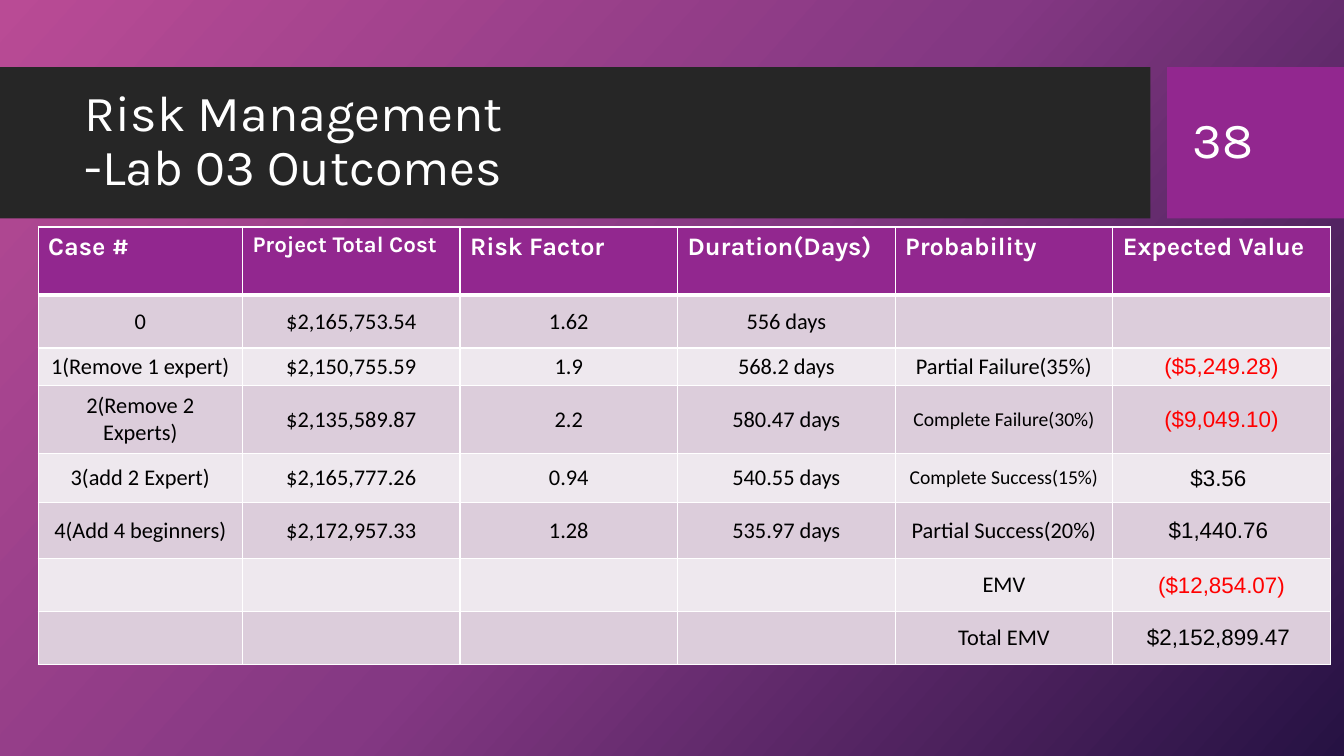
from copy import deepcopy

from pptx import Presentation
from pptx.dml.color import RGBColor
from pptx.enum.shapes import MSO_SHAPE as Shape
from pptx.enum.text import MSO_ANCHOR as Anchor, MSO_AUTO_SIZE as AutoSize, PP_ALIGN as Align
from pptx.oxml import parse_xml
from pptx.oxml.ns import nsdecls, qn
from pptx.util import Pt

WHITE = RGBColor(0xFF, 0xFF, 0xFF)
BLACK = RGBColor(0, 0, 0)
RED = RGBColor(0xFF, 0, 0)
CHARCOAL = RGBColor(0x26, 0x26, 0x26)
PURPLE = RGBColor(0x92, 0x27, 0x8F)
BAND_DARK = RGBColor(0xDC, 0xCD, 0xDB)
BAND_LIGHT = RGBColor(0xEE, 0xE8, 0xEE)
GRADIENT = [
    (0, RGBColor(0xB9, 0x4B, 0x95)),
    (0.5, RGBColor(0x84, 0x38, 0x83)),
    (1, RGBColor(0x26, 0x12, 0x43)),
]

HEADINGS = ["Case #", "Project Total Cost", "Risk Factor", "Duration(Days)",
            "Probability", "Expected Value"]
OUTCOMES = [
    ["0", "$2,165,753.54", "1.62", "556 days", "", ""],
    ["1(Remove 1 expert)", "$2,150,755.59", "1.9", "568.2 days",
     "Partial Failure(35%)", "($5,249.28)"],
    ["2(Remove 2 Experts)", "$2,135,589.87", "2.2", "580.47 days",
     "Complete Failure(30%)", "($9,049.10)"],
    ["3(add 2 Expert)", "$2,165,777.26", "0.94", "540.55 days",
     "Complete Success(15%)", "$3.56 "],
    ["4(Add 4 beginners)", "$2,172,957.33", "1.28", "535.97 days",
     "Partial Success(20%)", "$1,440.76 "],
    ["", "", "", "", "EMV", "($12,854.07)"],
    ["", "", "", "", "Total EMV", "$2,152,899.47 "],
]
COLUMN_WIDTHS = [146] + [155.4] * 5
ROW_HEIGHTS = [48.7, 37.7, 24.5, 48.7, 34.8, 40.2, 37.7, 37.7]
VALUE_COLUMN = len(HEADINGS) - 1


def set_font(paragraph, name, size, color, bold=False):
    font = paragraph.font
    font.name, font.size, font.bold = name, Pt(size), bold
    font.color.rgb = color


def paint_background(slide):
    fill = slide.background.fill
    fill.gradient()
    fill.gradient_angle = 360 - 42  # counter-clockwise
    stop_list = slide.element.find(".//" + qn("a:gsLst"))
    stop_list.append(deepcopy(stop_list[0]))
    for stop, (position, color) in zip(fill.gradient_stops, GRADIENT):
        stop.position = position
        stop.color.rgb = color


def add_bar(slide, left, width, color):
    bar = slide.shapes.add_shape(Shape.RECTANGLE, Pt(left), Pt(48), Pt(width), Pt(108))
    bar.shadow.inherit = False
    bar.fill.solid()
    bar.fill.fore_color.rgb = color
    bar.line.fill.background()


def write_heading(shape, text, left, top, width, height):
    shape.left, shape.top, shape.width, shape.height = Pt(left), Pt(top), Pt(width), Pt(height)
    frame = shape.text_frame
    frame.word_wrap = True
    frame.auto_size = AutoSize.NONE
    frame.vertical_anchor = Anchor.MIDDLE
    frame.text = text
    paragraph = frame.paragraphs[0]
    paragraph.alignment = Align.LEFT
    paragraph.line_spacing = 0.9
    set_font(paragraph, "Karla", 36, WHITE)


def set_borders(cell, top=1, bottom=1):
    properties = cell._tc.get_or_add_tcPr()
    for side, points in (("L", 1), ("R", 1), ("T", top), ("B", bottom)):
        properties.append(parse_xml(
            f'<a:ln{side} {nsdecls("a")} w="{Pt(points)}"><a:solidFill>'
            f'<a:srgbClr val="{WHITE}"/></a:solidFill></a:ln{side}>'))


def fill_cell(cell, color):
    cell.fill.solid()
    cell.fill.fore_color.rgb = color


def write_header_cell(cell, text):
    set_borders(cell, bottom=3)
    fill_cell(cell, PURPLE)
    cell.text = text
    size = 16 if text == "Project Total Cost" else 18
    set_font(cell.text_frame.paragraphs[0], "Karla", size, WHITE, bold=True)


def write_outcome_cell(cell, text, row, column):
    set_borders(cell, top=3 if row == 1 else 1)
    fill_cell(cell, BAND_DARK if row % 2 else BAND_LIGHT)
    if not text:
        return
    cell.text = text
    cell.vertical_anchor = Anchor.MIDDLE
    paragraph = cell.text_frame.paragraphs[0]
    paragraph.alignment = Align.CENTER
    if column == VALUE_COLUMN:
        cell.margin_left = cell.margin_right = cell.margin_top = Pt(0.75)
        cell.margin_bottom = Pt(0)
        set_font(paragraph, "Arial", 16, RED if text.startswith("(") else BLACK)
    else:
        set_font(paragraph, "Calibri", 14 if text.startswith("Complete") else 16, BLACK)


def add_outcome_table(slide):
    frame = slide.shapes.add_table(
        len(ROW_HEIGHTS), len(COLUMN_WIDTHS), Pt(27.2), Pt(162.2),
        Pt(sum(COLUMN_WIDTHS)), Pt(sum(ROW_HEIGHTS)))
    table = frame.table
    for column, width in zip(table.columns, COLUMN_WIDTHS):
        column.width = Pt(width)
    for row, height in zip(table.rows, ROW_HEIGHTS):
        row.height = Pt(height)
    for column, heading in enumerate(HEADINGS):
        write_header_cell(table.cell(0, column), heading)
    for row, outcome in enumerate(OUTCOMES, start=1):
        for column, text in enumerate(outcome):
            write_outcome_cell(table.cell(row, column), text, row, column)


def main():
    presentation = Presentation()
    presentation.slide_width, presentation.slide_height = Pt(960), Pt(540)
    slide = presentation.slides.add_slide(presentation.slide_layouts[5])
    paint_background(slide)

    # Title band and number block
    add_bar(slide, 0, 821.8, CHARCOAL)
    add_bar(slide, 833.6, 126.4, PURPLE)

    # Title, brought in front of the band
    title = slide.shapes.title
    write_heading(title, "Risk Management\v-Lab 03 Outcomes", 53.5, 59, 756.5, 85)
    title.element.getparent().append(title.element)

    add_outcome_table(slide)

    # Slide number
    number = slide.shapes.add_textbox(0, 0, 0, 0)
    write_heading(number, "38", 844.8, 59, 90.7, 85.7)

    presentation.save("out.pptx")


if __name__ == "__main__":
    main()
